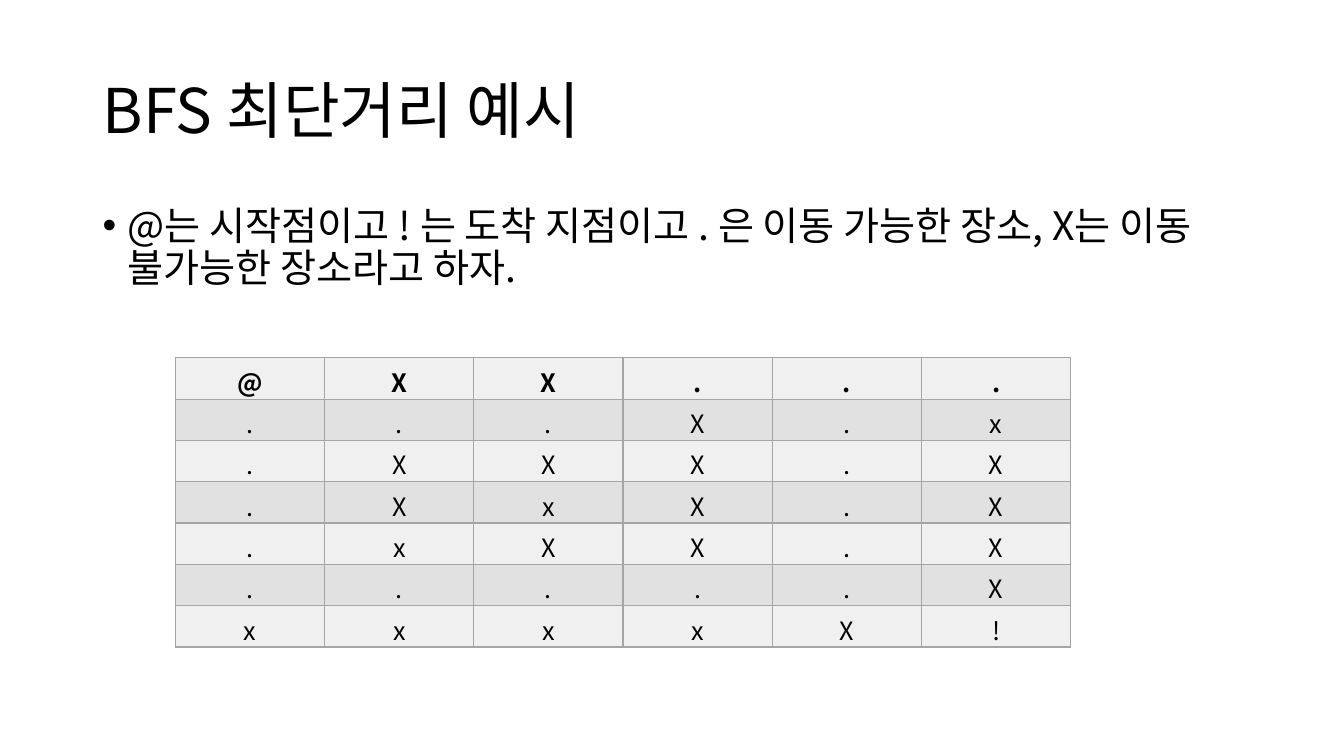
from pptx import Presentation
from pptx.dml.color import RGBColor
from pptx.enum.text import MSO_ANCHOR, PP_ALIGN
from pptx.oxml.ns import qn
from pptx.util import Inches, Pt
from lxml import etree

CENTER = PP_ALIGN.CENTER
TOP, MIDDLE = MSO_ANCHOR.TOP, MSO_ANCHOR.MIDDLE
FONT = "Noto Sans CJK KR"
BLACK = RGBColor(0x00, 0x00, 0x00)
BORDER_GRAY = RGBColor(0xA5, 0xA5, 0xA5)
ROW_FILLS = [RGBColor(0xF0, 0xF0, 0xF0), RGBColor(0xE1, 0xE1, 0xE1)]

TITLE = "BFS 최단거리 예시"
RULES = "@는 시작점이고 ! 는 도착 지점이고 . 은 이동 가능한 장소, X는 이동 불가능한 장소라고 하자."
MAZE = [
    "@XX...",
    "...X.x",
    ".XXX.X",
    ".XxX.X",
    ".xXX.X",
    ".....X",
    "xxxxX!",
]


def add_run(paragraph, text, size, bold=False):
    run = paragraph.add_run()
    run.text = text
    run.font.size = Pt(size)
    run.font.bold = bold
    run.font.color.rgb = BLACK
    run.font.name = FONT
    etree.SubElement(run.font._element, qn("a:ea"), typeface=FONT)


def add_text(top, height, anchor, text, size):
    box = slide.shapes.add_textbox(Inches(0.92), Inches(top), Inches(11.5), Inches(height))
    box.text_frame.word_wrap = True
    box.text_frame.vertical_anchor = anchor
    paragraph = box.text_frame.paragraphs[0]
    paragraph.line_spacing = 0.9
    add_run(paragraph, text, size)
    return paragraph


presentation = Presentation()
presentation.slide_width = Inches(13.33)
presentation.slide_height = Inches(7.5)
slide = presentation.slides.add_slide(presentation.slide_layouts[6])

# Title and bulleted rules
add_text(0.4, 1.45, MIDDLE, TITLE, 44)
rules = add_text(2, 4.76, TOP, RULES, 28)
rules.space_before = Pt(10)
properties = rules._p.get_or_add_pPr()
properties.set("marL", str(Inches(0.25)))
properties.set("indent", str(-Inches(0.25)))
etree.SubElement(properties, qn("a:buFont"), typeface="Arial")
etree.SubElement(properties, qn("a:buChar"), char="•")

# Maze table
maze_table = slide.shapes.add_table(
    len(MAZE), len(MAZE[0]), Inches(1.74), Inches(3.55), Inches(8.89), Inches(2.84)
).table
for column in maze_table.columns:
    column.width = Inches(1.48)
for row_index, symbols in enumerate(MAZE):
    maze_table.rows[row_index].height = Inches(0.41)
    for column_index, symbol in enumerate(symbols):
        cell = maze_table.cell(row_index, column_index)
        cell_properties = cell._tc.get_or_add_tcPr()
        for side in ("lnL", "lnR", "lnT", "lnB"):
            line = etree.SubElement(cell_properties, qn("a:" + side), w=str(Pt(1)))
            line_fill = etree.SubElement(line, qn("a:solidFill"))
            etree.SubElement(line_fill, qn("a:srgbClr"), val=str(BORDER_GRAY))
        cell.fill.solid()
        cell.fill.fore_color.rgb = ROW_FILLS[row_index % 2]
        paragraph = cell.text_frame.paragraphs[0]
        paragraph.alignment = CENTER
        add_run(paragraph, symbol, 18, bold=row_index == 0)

presentation.save("out.pptx")
